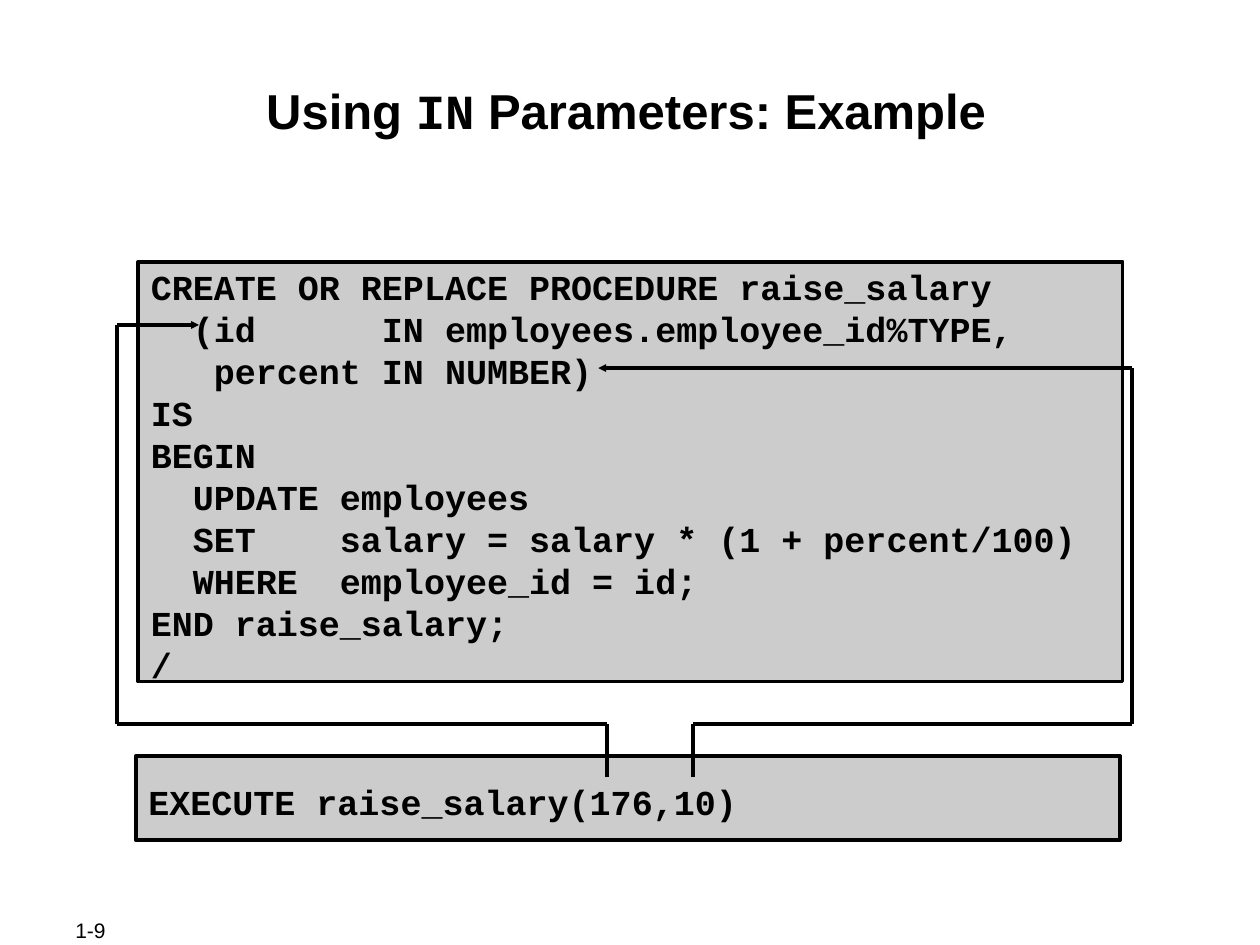
from dataclasses import dataclass

from lxml import etree
from pptx import Presentation
from pptx import util as u
from pptx.dml import color
from pptx.enum import shapes, text
from pptx.oxml import ns


@dataclass(frozen=True)
class Theme:
    ink: color.RGBColor = color.RGBColor(0, 0, 0)
    panel: color.RGBColor = color.RGBColor(0xCC, 0xCC, 0xCC)
    sans: str = "Arial"
    mono: str = "Courier New"
    title_size: u.Length = u.Pt(28)
    code_size: u.Length = u.Pt(20)
    code_pitch: u.Length = u.Pt(24)
    page_size: u.Length = u.Pt(12)
    stroke: u.Length = u.Pt(2.25)


@dataclass(frozen=True)
class Area:
    """Left, top, width and height in centimetres."""
    left: float
    top: float
    width: float
    height: float

    def lengths(self) -> list[u.Length]:
        return [u.Cm(v) for v in (self.left, self.top, self.width, self.height)]


@dataclass(frozen=True)
class CodePanel:
    area: Area
    code: str


@dataclass(frozen=True)
class ArrowPath:
    """Corner points in centimetres; the arrowhead is at the last one."""
    points: tuple[tuple[float, float], ...]


THEME = Theme()

PANELS = (
    CodePanel(Area(2.79, 5.28, 19.84, 8.46), """\
CREATE OR REPLACE PROCEDURE raise_salary
  (id      IN employees.employee_id%TYPE,
   percent IN NUMBER)
IS
BEGIN
  UPDATE employees
  SET    salary = salary * (1 + percent/100)
  WHERE  employee_id = id;
END raise_salary;
/"""),
    CodePanel(Area(2.74, 15.24, 19.84, 1.7), "EXECUTE raise_salary(176,10)"),
)

# Each path leads from an argument to its parameter
ARROWS = (
    ArrowPath(((12.24, 15.67), (12.24, 14.6), (2.36, 14.6), (2.36, 6.55), (4.01, 6.55))),
    ArrowPath(((13.97, 15.67), (13.97, 14.6), (22.82, 14.6), (22.82, 7.42), (12.06, 7.42))),
)


def apply(target, values: dict) -> None:
    for name, value in values.items():
        setattr(target, name, value)


def set_frame(frame, anchor, left: float, top: float, bottom: float) -> None:
    apply(frame, {
        "word_wrap": True, "auto_size": text.MSO_AUTO_SIZE.NONE,
        "vertical_anchor": anchor,
        "margin_left": u.Cm(left), "margin_right": u.Cm(left),
        "margin_top": u.Cm(top), "margin_bottom": u.Cm(bottom),
    })


def add_span(para, words: str, face: str, size: u.Length, bold: bool) -> None:
    span = para.add_run()
    span.text = words
    apply(span.font, {"name": face, "size": size, "bold": bold})
    span.font.color.rgb = THEME.ink


def draw_title(page) -> None:
    title = page.shapes.title
    apply(title, dict(zip(("left", "top", "width", "height"),
                          Area(2.46, 1.47, 20.32, 2.44).lengths())))
    set_frame(title.text_frame, text.MSO_ANCHOR.TOP, 0.03, 0.15, 0.03)
    para = title.text_frame.paragraphs[0]
    para.alignment = text.PP_ALIGN.CENTER
    for words, face in (("Using ", THEME.sans), ("IN", THEME.mono),
                        (" Parameters: Example", THEME.sans)):
        add_span(para, words, face, THEME.title_size, True)


def draw_panel(page, panel: CodePanel) -> None:
    box = page.shapes.add_shape(shapes.MSO_SHAPE.RECTANGLE, *panel.area.lengths())
    box.shadow.inherit = False
    box.fill.solid()
    box.fill.fore_color.rgb = THEME.panel
    box.line.color.rgb = THEME.ink
    box.line.width = THEME.stroke
    frame = box.text_frame
    set_frame(frame, text.MSO_ANCHOR.MIDDLE, 0.25, 0.15, 0)
    for number, line in enumerate(panel.code.splitlines()):
        para = frame.add_paragraph() if number else frame.paragraphs[0]
        apply(para, {"alignment": text.PP_ALIGN.LEFT, "line_spacing": THEME.code_pitch})
        add_span(para, line, THEME.mono, THEME.code_size, True)


def draw_arrow(page, arrow: ArrowPath) -> None:
    for start, end in zip(arrow.points, arrow.points[1:]):
        line = page.shapes.add_connector(
            shapes.MSO_CONNECTOR.STRAIGHT, *(u.Cm(v) for v in start + end))
        line.line.color.rgb = THEME.ink
        line.line.width = THEME.stroke
        etree.SubElement(line._element.spPr, ns.qn("a:effectLst"))
    # Only the last segment carries the head
    etree.SubElement(line.line._get_or_add_ln(), ns.qn("a:tailEnd"),
                     type="triangle", w="sm", len="sm")


def draw_page_number(page) -> None:
    box = page.shapes.add_textbox(*Area(1.27, 18.49, 2.69, 0.51).lengths())
    set_frame(box.text_frame, text.MSO_ANCHOR.MIDDLE, 0.25, 0.13, 0.13)
    add_span(box.text_frame.paragraphs[0], "1-9", THEME.sans, THEME.page_size, False)


def main() -> None:
    deck = Presentation()
    apply(deck, {"slide_width": u.Cm(25.4), "slide_height": u.Cm(19.05)})
    page = deck.slides.add_slide(deck.slide_layouts[5])
    draw_title(page)
    for panel in PANELS:
        draw_panel(page, panel)
    for arrow in ARROWS:
        draw_arrow(page, arrow)
    draw_page_number(page)
    deck.save("out.pptx")


if __name__ == "__main__":
    main()
